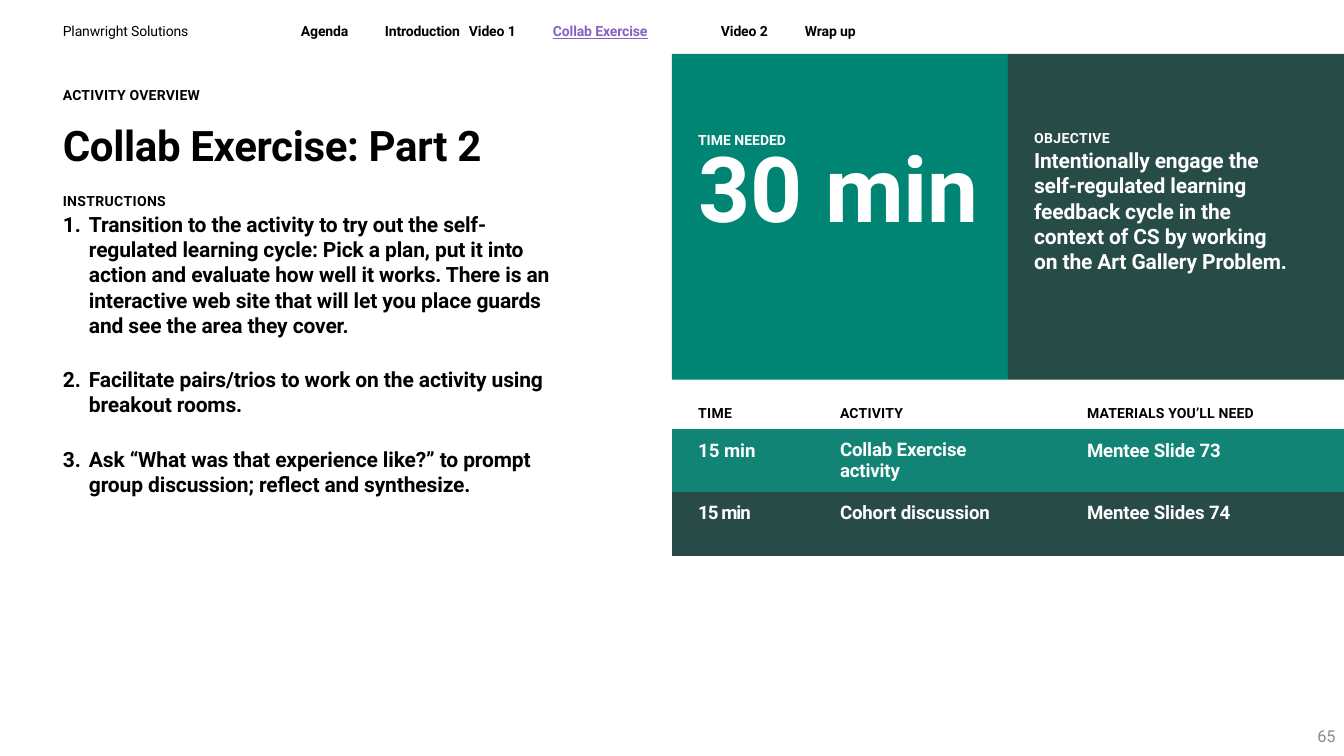
from dataclasses import dataclass
from typing import Any, Optional

import lxml.etree
import pptx
import pptx.dml.color
import pptx.enum.shapes
import pptx.enum.text
import pptx.oxml.ns
import pptx.util

Cm = pptx.util.Cm
Pt = pptx.util.Pt

BLACK, WHITE, GREY = "000000", "FFFFFF", "8C8C8C"
GREEN, DARK, VIOLET = "008575", "274B47", "8661C4"
PLAIN = "{2D5ABB26-0587-4C30-8999-92F81FD0307C}"  # table style without grid


@dataclass
class Line:
    text: str
    size: float
    color: str = BLACK
    bold: bool = True
    track: float = 0
    before: float = 0
    spacing: Any = None
    number: bool = False
    right: bool = False


@dataclass
class Box:
    left: float
    top: float
    width: float
    height: float
    lines: list[Line]
    middle: bool = False


@dataclass
class Panel:
    left: float
    color: str


@dataclass
class Row:
    height: float
    top: float
    cells: list[Line]
    fill: Optional[str] = None


def rgb(code: str) -> pptx.dml.color.RGBColor:
    return pptx.dml.color.RGBColor.from_string(code)


def child(parent: Any, tag: str, **attrs: str) -> Any:
    return lxml.etree.SubElement(parent, pptx.oxml.ns.qn(tag), attrs)


def add_run(para: Any, text: str, track: float) -> Any:
    run = para.add_run()
    run.text = text
    if track:
        run._r.get_or_add_rPr().set("spc", str(round(track * 100)))
    return run


def style(para: Any, line: Line) -> None:
    font = para.font
    font.name, font.size, font.bold = "Roboto", Pt(line.size), line.bold
    font.color.rgb = rgb(line.color)


def write(frame: Any, lines: list[Line]) -> None:
    for i, line in enumerate(lines):
        para = frame.add_paragraph() if i else frame.paragraphs[0]
        if line.before:
            para.space_before = Pt(line.before)
        if line.spacing:
            para.line_spacing = line.spacing
        if line.right:
            para.alignment = pptx.enum.text.PP_ALIGN.RIGHT
        if line.number:
            props = para._p.get_or_add_pPr()
            props.set("marL", str(Cm(0.79)))
            props.set("indent", str(Cm(-0.79)))
            child(props, "a:buFont", typeface="+mj-lt")
            child(props, "a:buAutoNum", type="arabicPeriod")
        style(para, line)
        add_run(para, line.text, line.track)


def add_box(slide: Any, box: Box) -> Any:
    shape = slide.shapes.add_textbox(
        Cm(box.left), Cm(box.top), Cm(box.width), Cm(box.height))
    frame = shape.text_frame
    frame.word_wrap = True
    frame.margin_left = frame.margin_right = 0
    frame.margin_top = frame.margin_bottom = 0
    if box.middle:
        frame.vertical_anchor = pptx.enum.text.MSO_ANCHOR.MIDDLE
    write(frame, box.lines)
    return frame


def add_panel(slide: Any, panel: Panel) -> None:
    shape = slide.shapes.add_shape(
        pptx.enum.shapes.MSO_SHAPE.RECTANGLE,
        Cm(panel.left), Cm(1.63), Cm(10.16), Cm(9.85))
    shape.shadow.inherit = False
    shape.fill.solid()
    shape.fill.fore_color.rgb = rgb(panel.color)
    shape.line.fill.background()


def add_nav(slide: Any) -> None:
    """Menu whose entries sit on one-inch tab stops, the current one marked."""
    para = add_box(slide, Box(9.1, 0.69, 31, 0.5, [])).paragraphs[0]
    tabs = child(para._p.get_or_add_pPr(), "a:tabLst")
    for stop in (1, 2, 3, 5, 6):
        child(tabs, "a:tab", pos=str(Cm(2.54 * stop)), algn="l")
    style(para, Line("", 12))
    add_run(para, "Agenda\tIntroduction\tVideo 1\t", -0.1)
    now = add_run(para, "Collab Exercise", -0.1)
    now.font.color.rgb = rgb(VIOLET)
    now.font.underline = True
    add_run(para, "\tVideo 2\tWrap up", -0.1)


def add_plan(slide: Any, rows: list[Row], widths: list[float]) -> None:
    table = slide.shapes.add_table(
        len(rows), len(widths), Cm(20.32), Cm(11.5), Cm(sum(widths)),
        Cm(sum(row.height for row in rows))).table
    table.first_row = table.horz_banding = False
    table._tbl.tblPr.find(pptx.oxml.ns.qn("a:tableStyleId")).text = PLAIN
    for col, width in zip(table.columns, widths):
        col.width = Cm(width)
    for i, row in enumerate(rows):
        table.rows[i].height = Cm(row.height)
        for j, line in enumerate(row.cells):
            cell = table.cell(i, j)
            cell.margin_left, cell.margin_top = Cm(0.79), Cm(row.top)
            cell.margin_right = Cm(1.9 if j == 1 else 0)
            cell.margin_bottom = 0
            if row.fill:
                cell.fill.solid()
                cell.fill.fore_color.rgb = rgb(row.fill)
            else:
                cell.fill.background()
            write(cell.text_frame, [line])


PANELS = [Panel(20.32, GREEN), Panel(30.48, DARK)]

BOXES = [
    Box(1.9, 0.69, 4.01, 0.5,
        [Line("Planwright Solutions", 12, bold=False, track=-0.1)]),
    Box(21.11, 3.98, 8.89, 4.04, [Line("30 min", 78, WHITE)]),
    Box(21.11, 3.98, 3.45, 0.55, [Line("TIME NEEDED", 12, WHITE)]),
    Box(31.27, 3.92, 7.72, 4.5, [
        Line("OBJECTIVE", 12, WHITE, track=0.3),
        Line("Intentionally engage the self-regulated learning feedback cycle "
             "in the context of CS by working on the Art Gallery Problem.",
             18, WHITE, track=-0.1, before=1.2)]),
    Box(1.9, 2.61, 15.1, 12.7, [
        Line("ACTIVITY OVERVIEW", 12, track=0.2),
        Line("Collab Exercise: Part 2", 36, track=-0.3, before=13.8),
        Line("INSTRUCTIONS", 12, track=0.3, before=19.8),
        Line("Transition to the activity to try out the self-regulated "
             "learning cycle: Pick a plan, put it into action and evaluate "
             "how well it works. There is an interactive web site that will "
             "let you place guards and see the area they cover.",
             18, track=-0.1, before=1.7, number=True),
        Line("Facilitate pairs/trios to work on the activity using breakout "
             "rooms.", 18, track=-0.1, before=25, number=True),
        Line("Ask “What was that experience like?” to prompt group "
             "discussion; reflect and synthesize.",
             18, track=-0.1, before=25, number=True)]),
    Box(31.5, 21.64, 8.89, 1.22,
        [Line("65", 14, GREY, bold=False, right=True)], middle=True),
]

PLAN = [
    Row(1.48, 0.76, [Line("TIME", 12, track=0.3),
                     Line("ACTIVITY", 12, track=0.2),
                     Line("MATERIALS YOU’LL NEED", 12, track=0.15)]),
    Row(1.91, 0.32, [Line("15 min", 16, WHITE),
                     Line("Collab Exercise activity", 16, WHITE, track=-0.1,
                          spacing=Pt(18)),
                     Line("Mentee Slide 73", 16, WHITE, track=-0.1)],
        "128475"),
    Row(1.91, 0.3, [Line("15 min", 16, WHITE, track=-0.8),
                    Line("Cohort discussion", 16, WHITE, track=-0.1),
                    Line("Mentee Slides 74", 16, WHITE, track=-0.1)],
        "284B47"),
]


def main() -> None:
    deck = pptx.Presentation()
    deck.slide_width, deck.slide_height = Cm(40.64), Cm(22.86)
    slide = deck.slides.add_slide(deck.slide_layouts[6])
    for panel in PANELS:
        add_panel(slide, panel)
    add_nav(slide)
    for box in BOXES:
        add_box(slide, box)
    add_plan(slide, PLAN, [4.29, 7.47, 8.56])
    deck.save("out.pptx")


if __name__ == "__main__":
    main()
